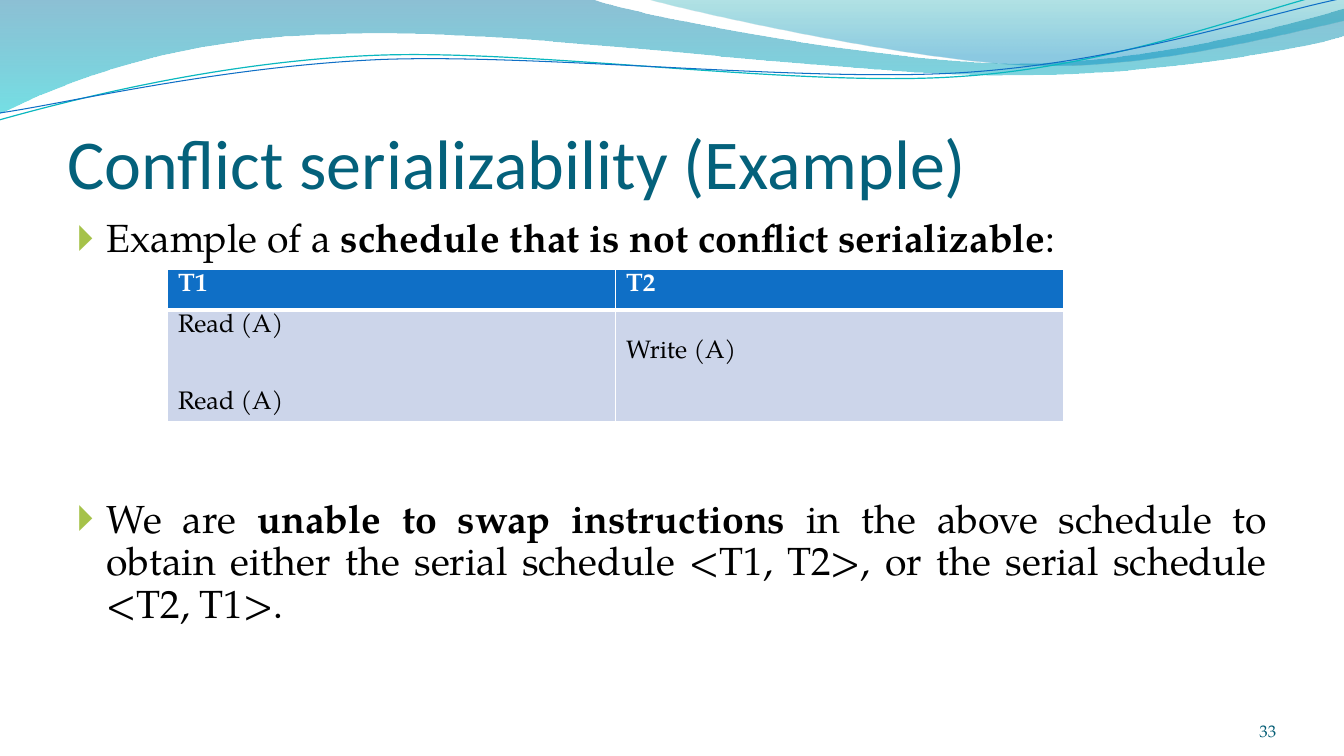
from lxml.etree import SubElement
from pptx import Presentation
from pptx.dml.color import RGBColor
from pptx.enum.text import MSO_ANCHOR, MSO_AUTO_SIZE, PP_ALIGN
from pptx.oxml.ns import qn
from pptx.util import Pt

TITLE_TEAL = RGBColor(0x04, 0x61, 0x7B)
NUMBER_TEAL = RGBColor(0x04, 0x5D, 0x75)
BULLET_GREEN = RGBColor(0xA5, 0xC2, 0x49)
BLACK = RGBColor(0, 0, 0)
WHITE = RGBColor(0xFF, 0xFF, 0xFF)
BLUE = RGBColor(0x0F, 0x6F, 0xC6)
TURQUOISE = RGBColor(0x0A, 0xB8, 0xBF)
PALE_BLUE = RGBColor(0xCC, 0xD5, 0xEA)
DEEP_BLUE = RGBColor(0x00, 0x74, 0xA1)
CYAN = RGBColor(0x00, 0xC6, 0xCF)
SEA_GREEN = RGBColor(0x00, 0xA1, 0xA9)
SKY_BLUE = RGBColor(0x00, 0x8B, 0xBF)

SERIF = "TeX Gyre Pagella"
TABLE_LINE = 18.36
CELL_INSET = 3.6
STRAND_TURN = 357.3

BANDS = [
    ([(-0.7, -0.7), (423, -0.3),
      (456.5, 12.2, 636.5, 45.4, 728, 45.4), (818.6, 45.4, 919.4, 18.7, 960, 6.5),
      (960.5, 26),
      (944, 31.7, 834.5, 54.7, 715.7, 54), (596.9, 54, 366.5, 20.2, 247, 24.5),
      (123.8, 26, 44, 59.8, -0.7, 81.4)],
     [(0, DEEP_BLUE, 45), (1, CYAN, 55)]),
    ([(460, -0.7),
      (488.9, 7.9, 654.5, 44.6, 738, 46.8), (820.8, 49.7, 923, 23, 960, 15.1),
      (960, 0)],
     [(0, SEA_GREEN, 30), (0.8, SKY_BLUE, 45)]),
]
STRANDS = [
    ([(-2.3, 63.1),
      (45, 52.3, 152.2, 29.2, 266, 29.6), (379.8, 29.9, 566.9, 66.8, 683.2, 64.4),
      (798.3, 62.6, 901.9, 25.7, 960.1, 15.5)], TURQUOISE, 0.85),
    ([(-1.3, 58),
      (44.4, 53.7, 157.2, 32.3, 272.4, 32.7), (386.9, 33.8, 572.1, 63.4, 687, 61.6),
      (801.5, 59.8, 904.6, 29.9, 961.6, 21.2)], BLUE, 0.75),
]


def set_all(target, values):
    for name, value in values.items():
        setattr(target, name, value)


def place(shape, box):
    set_all(shape, dict(zip(("left", "top", "width", "height"), map(Pt, box))))


def write(paragraph, text, size, color, font=SERIF, bold=False):
    run = paragraph.add_run()
    run.text = text
    set_all(run.font, {"size": Pt(size), "name": font, "bold": bold})
    run.font.color.rgb = color


def draw_outline(slide, box, outline, close):
    left, top = box[:2]
    start, *rest = [(Pt(left + x), Pt(top + y)) for segment in outline
                    for x, y in zip(segment[::2], segment[1::2])]
    builder = slide.shapes.build_freeform(*start)
    builder.add_line_segments(rest, close=close)
    shape = builder.convert_to_shape()
    shape.shadow.inherit = False
    knots = iter(list(shape.element.spPr.iter(qn("a:lnTo"))))
    for segment in outline[1:]:
        if len(segment) == 2:
            next(knots)
            continue
        first = next(knots)
        first.tag = qn("a:cubicBezTo")
        for _ in range(2):
            knot = next(knots)
            knot.getparent().remove(knot)
            first.append(knot[0])
    return shape


def add_waves(slide, box):
    for outline, stops in BANDS:
        band = draw_outline(slide, box, outline, True)
        band.line.fill.background()
        band.fill.gradient()
        band.fill.gradient_angle = 270
        for stop, (position, color, _) in zip(band.fill.gradient_stops, stops):
            stop.position = position
            stop.color.rgb = color
        tints = band.element.spPr.find(qn("a:gradFill")).iter(qn("a:srgbClr"))
        for tint, (_, _, opacity) in zip(tints, stops):
            SubElement(tint, qn("a:alpha"), val=str(opacity * 1000))
    for outline, color, weight in STRANDS:
        strand = draw_outline(slide, box, outline, False)
        strand.rotation = STRAND_TURN
        strand.fill.background()
        strand.line.color.rgb = color
        strand.line.width = Pt(weight)


def add_title(slide, box):
    title = slide.shapes.title
    place(title, box)
    set_all(title.text_frame, {
        "vertical_anchor": MSO_ANCHOR.BOTTOM, "auto_size": MSO_AUTO_SIZE.NONE,
        "margin_left": 0, "margin_right": 0, "margin_top": Pt(3.6), "margin_bottom": 0})
    heading = title.text_frame.paragraphs[0]
    heading.alignment = PP_ALIGN.LEFT
    write(heading, "Conflict serializability (Example)", 50, TITLE_TEAL, "Calibri")


def add_points(slide, box):
    body = slide.placeholders[1]
    place(body, box)
    frame = body.text_frame
    set_all(frame, {"auto_size": MSO_AUTO_SIZE.NONE, "vertical_anchor": MSO_ANCHOR.TOP})
    points = [
        (0, ["Example of a ", "schedule that is not conflict serializable", ":"]),
        (170.3, ["We are ", "unable to swap instructions ",
                 "in the above schedule to obtain either the serial schedule "
                 "<T1, T2>, or the serial schedule <T2, T1>."]),
    ]
    for index, (gap, parts) in enumerate(points):
        point = frame.add_paragraph() if index else frame.paragraphs[0]
        set_all(point, {"alignment": PP_ALIGN.JUSTIFY, "line_spacing": 0.9,
                        "space_before": Pt(gap), "space_after": Pt(0)})
        layout = point._p.get_or_add_pPr()
        layout.set("marL", str(Pt(20.9)))
        layout.set("indent", str(-Pt(20.9)))
        bullet_color = SubElement(layout, qn("a:buClr"))
        SubElement(bullet_color, qn("a:srgbClr"), val=str(BULLET_GREEN))
        SubElement(layout, qn("a:buChar"), char="\U0001F782")
        for part, text in enumerate(parts):
            write(point, text, 28, BLACK, bold=part == 1)


def add_borders(cell, weights):
    properties = cell._tc.get_or_add_tcPr()
    for position, (side, weight) in enumerate(weights.items()):
        border = properties.makeelement(qn(f"a:ln{side}"), {"w": str(Pt(weight))})
        properties.insert(position, border)
        fill = SubElement(border, qn("a:solidFill"))
        SubElement(fill, qn("a:srgbClr"), val=str(WHITE))


def add_schedule(slide, box):
    schedule = slide.shapes.add_table(2, 2, *map(Pt, box)).table
    for row, height in zip(schedule.rows, (29.5, box[3] - 29.5)):
        row.height = Pt(height)
    transactions = [
        ("T1", 0, [("Read (A)", 0), ("Read (A)", 39.6)]),
        ("T2", TABLE_LINE, [("Write (A)", 0)]),
    ]
    for column, (name, offset, steps) in enumerate(transactions):
        rows = [([(name, 0)], 0.7, BLUE, WHITE, True),
                (steps, offset, PALE_BLUE, BLACK, False)]
        for row, (entries, drop, fill, color, bold) in enumerate(rows):
            cell = schedule.cell(row, column)
            cell.fill.solid()
            cell.fill.fore_color.rgb = fill
            set_all(cell, {"margin_top": Pt(CELL_INSET + drop), "margin_left": Pt(7.7)})
            add_borders(cell, {"L": 1, "R": 1, "T": 3 if row else 1, "B": 1 if row else 3})
            frame = cell.text_frame
            for index, (text, gap) in enumerate(entries):
                entry = frame.add_paragraph() if index else frame.paragraphs[0]
                set_all(entry, {"line_spacing": 0.85, "space_before": Pt(gap)})
                write(entry, text, 18, color, bold=bold)


def add_slide_number(slide, box):
    frame = slide.shapes.add_textbox(*map(Pt, box)).text_frame
    set_all(frame, {"word_wrap": True, "vertical_anchor": MSO_ANCHOR.BOTTOM,
                    "margin_left": 0, "margin_right": 0,
                    "margin_top": 0, "margin_bottom": 0})
    frame.paragraphs[0].alignment = PP_ALIGN.RIGHT
    write(frame.paragraphs[0], "33", 12, NUMBER_TEAL)


deck = Presentation()
set_all(deck, {"slide_width": Pt(960), "slide_height": Pt(540)})
example = deck.slides.add_slide(deck.slide_layouts[1])
add_waves(example, (0, 0, 960, 86))
add_title(example, (48, 55.5, 864, 90))
add_points(example, (48, 152.6, 864, 345.6))
add_schedule(example, (119.5, 192.2, 640, 109))
add_slide_number(example, (831.6, 500.4, 80, 28.8))
deck.save("out.pptx")
